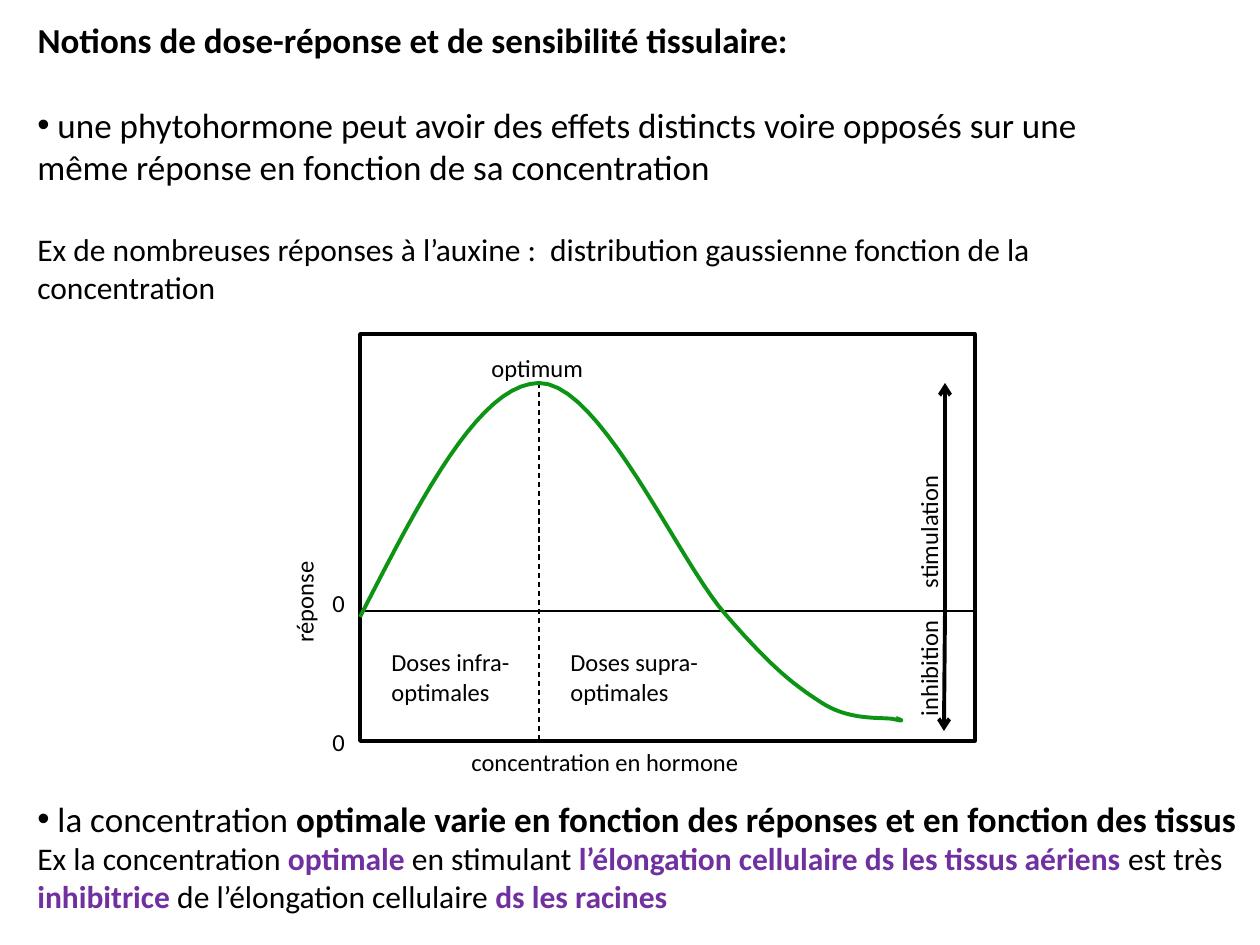
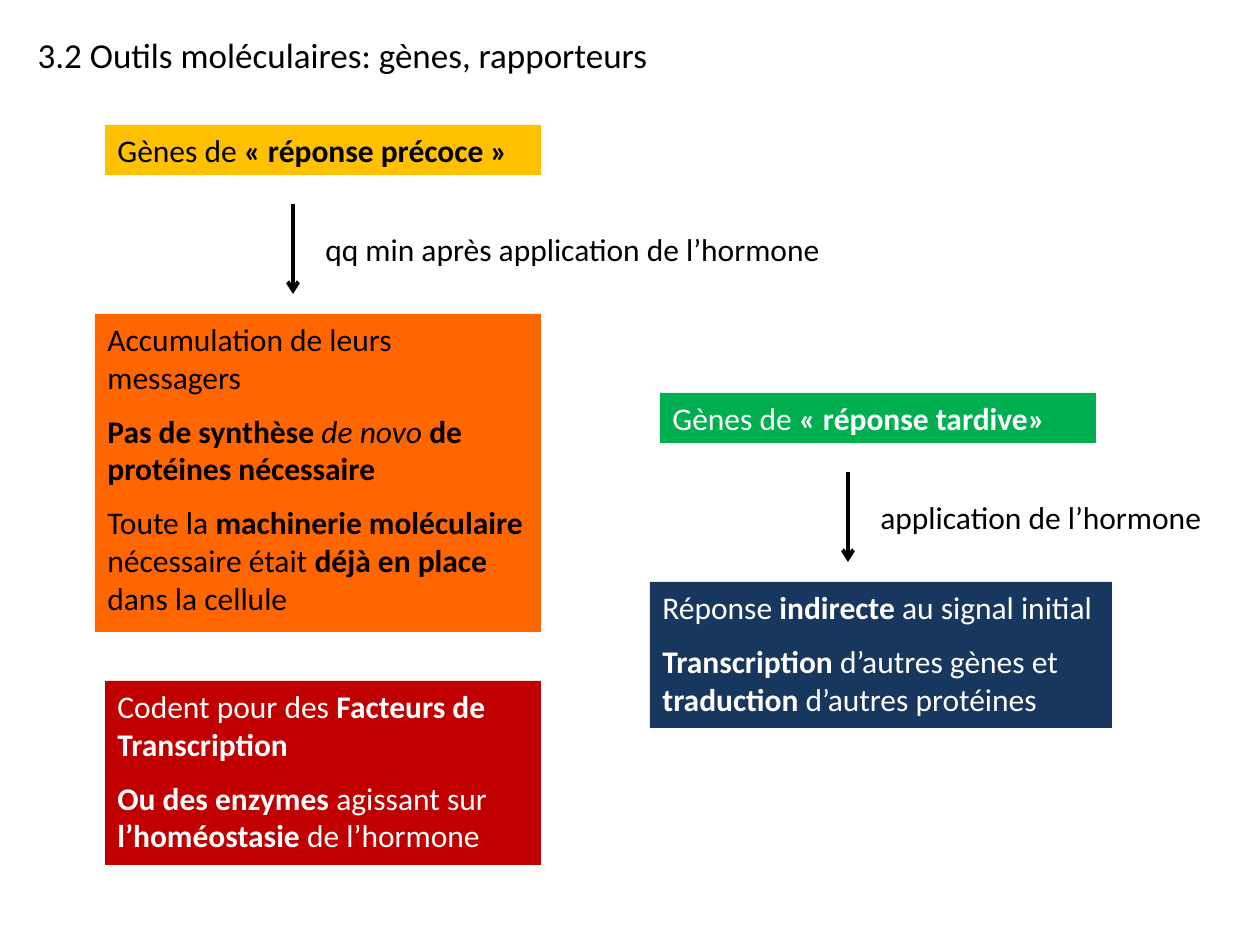
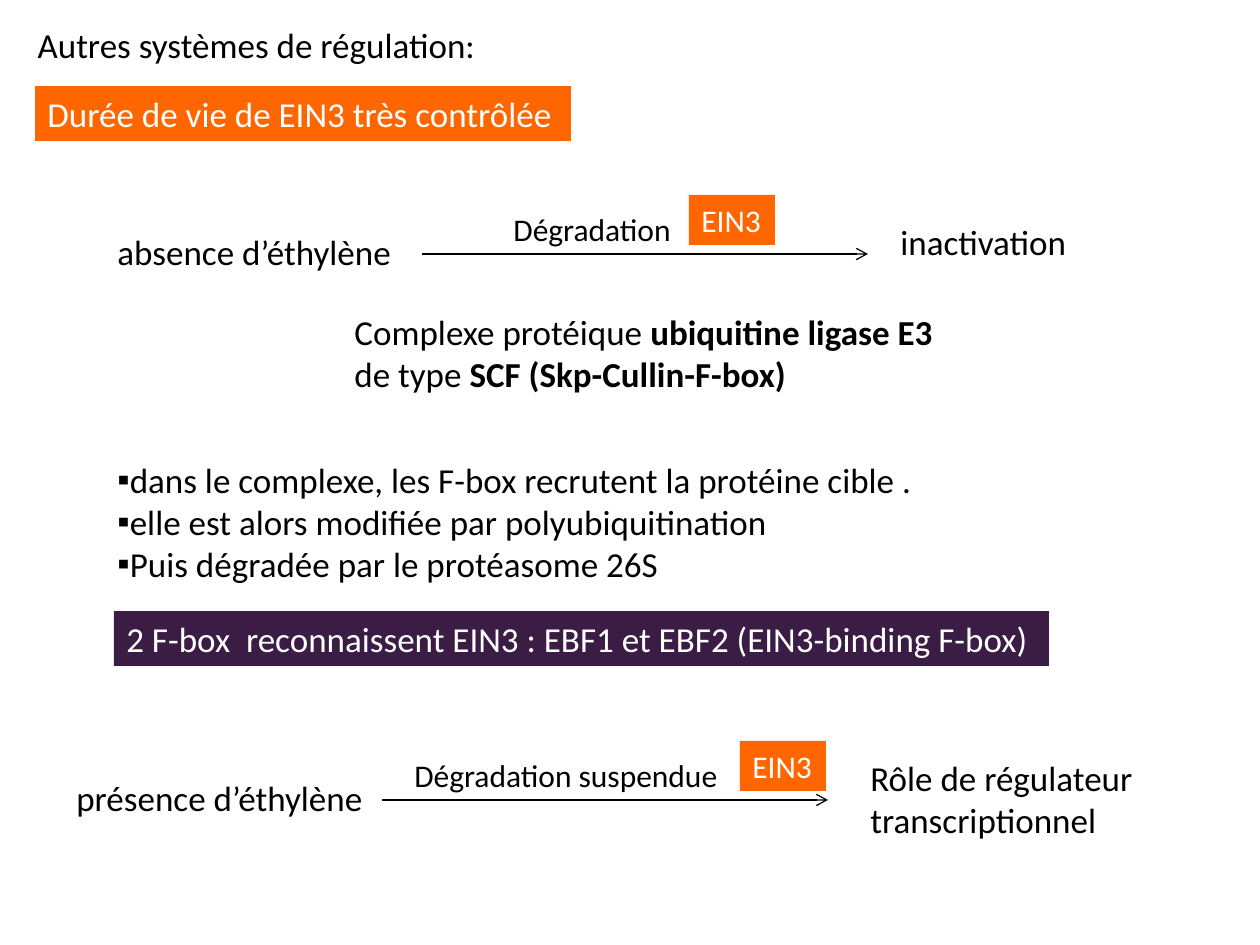
"""Builds three slides on plant hormone responses."""
from dataclasses import dataclass

from lxml.etree import SubElement
from pptx import Presentation
from pptx.dml.color import RGBColor
from pptx.enum.dml import MSO_LINE
from pptx.enum.shapes import MSO_CONNECTOR, MSO_SHAPE
from pptx.enum.text import MSO_ANCHOR, MSO_AUTO_SIZE, PP_ALIGN
from pptx.oxml.ns import qn
from pptx.util import Emu, Pt

FONT = "Calibri"
BLACK, WHITE, PURPLE = "000000", "FFFFFF", "7030A0"
ORANGE, AMBER, GREEN, NAVY = "FF6600", "FFC000", "00B050", "17375E"
RED, PLUM, CURVE_GREEN = "C00000", "3A1C44", "0E9414"
TITLE_ONLY = 5
CHIP_SIZE = (86, 50)
ARROW_LENGTH = 446


@dataclass
class Text:
    """One paragraph; a run is a string or a (string, style) pair."""
    runs: list
    size: int = 18
    bullet: str = ""
    before: float = 0


DOSE_TITLE = [("Notions de dose-réponse et de sensibilité tissulaire:", "bold")]
DOSE_INTRO = [
    Text([" une phytohormone peut avoir des effets distincts voire opposés sur une "
          "même réponse en fonction de sa concentration"], 20, "•"),
    Text(["Ex de nombreuses réponses à l’auxine :  distribution gaussienne fonction "
          "de la concentration"], before=24.4),
]
DOSE_CONCLUSION = [
    Text([" la concentration ",
          ("optimale varie en fonction des réponses et en fonction des tissus", "bold")],
         20, "•"),
    Text(["Ex la concentration ", ("optimale", "purple"), " en stimulant ",
          ("l’élongation cellulaire ds les tissus aériens ", "purple"), "est très ",
          ("inhibitrice", "purple"), " de l’élongation cellulaire ",
          ("ds les racines", "purple")]),
]
PLOT_LABELS = [
    ("optimum", (479, 347, 118, 43), 0),
    ("réponse", (251, 580, 107, 43), 270),
    ("0", (320, 582, 38, 43), 0),
    ("0", (320, 721, 38, 43), 0),
    ("stimulation", (859, 509, 140, 43), 270),
    ("inhibition", (870, 648, 118, 43), 270),
    ("concentration en hormone", (459, 741, 297, 43), 0),
]
DOSE_ZONES = [
    ("Doses infra-optimales", (379, 641, 149, 72)),
    ("Doses supra-optimales", (558, 641, 179, 72)),
]
PLOT_FRAME = (360, 334, 615, 407)
PLOT_ZERO, PLOT_PEAK = 611, (539, 383)
CURVE_START = (360, 617)
CURVE_PIECES = [
    ((420, 500), (479, 384), PLOT_PEAK),
    ((601, 383), (678, 561), (726, 615)),
    ((772, 668), (794, 685), (822, 703)),
    ((850, 721), (881, 717), (893, 719)),
    ((906, 722), (901, 720), (896, 718)),
]

GENES_TITLE = ["3.2 Outils moléculaires: gènes, rapporteurs"]
GENE_FLOWS = [
    dict(origin=(105, 125), color=BLACK, head_fill=AMBER, result_fill=ORANGE,
         head=["Gènes de ", ("« réponse précoce »", "bold")],
         note="qq min après application de l’hormone", note_width=527,
         result_size=(446, 318),
         result=[["Accumulation de leurs messagers"],
                 [("Pas de synthèse ", "bold"), ("de novo ", "italic"),
                  ("de protéines nécessaire", "bold")],
                 ["Toute la ", ("machinerie moléculaire ", "bold"), "nécessaire était ",
                  ("déjà en place ", "bold"), "dans la cellule"]]),
    dict(origin=(660, 393), color=WHITE, head_fill=GREEN, result_fill=NAVY,
         head=["Gènes de ", ("« réponse tardive»", "bold")],
         note="application de l’hormone", note_width=350,
         result_size=(462, 146),
         result=[["Réponse ", ("indirecte", "bold"), " au signal initial"],
                 [("Transcription ", "bold"), "d’autres gènes et ",
                  ("traduction", "bold"), " d’autres protéines"]]),
]
EARLY_GENE_PRODUCTS = [
    ["Codent pour des ", ("Facteurs de Transcription", "bold")],
    [("Ou des enzymes ", "bold"), "agissant sur ", ("l’homéostasie ", "bold"),
     "de l’hormone"],
]

REGULATION_TITLE = ["Autres systèmes de régulation:"]
REGULATION_BANDS = [
    ("Durée de vie de EIN3 très contrôlée", (35, 86, 536, 55), ORANGE),
    ("2 F-box  reconnaissent EIN3 : EBF1 et EBF2 (EIN3-binding F-box)",
     (114, 611, 935, 55), PLUM),
]
LIGASE = [
    Text(["Complexe protéique ", ("ubiquitine ligase E3", "bold")], 20),
    Text(["de type ", ("SCF (Skp-Cullin-F-box)", "bold")], 20),
]
DEGRADATION_STEPS = [
    "dans le complexe, les F-box recrutent la protéine cible .",
    "elle est alors modifiée par polyubiquitination",
    "Puis dégradée par le protéasome 26S",
]
ETHYLENE_ROWS = [
    dict(arrow=(422, 254), state="absence d’éthylène", state_x=105, state_width=302,
         note="Dégradation", note_x=501, note_width=193, chip_x=689,
         outcome="inactivation", outcome_box=(888, 214, 202, 55)),
    dict(arrow=(382, 800), state="présence d’éthylène", state_x=64, state_width=315,
         note="Dégradation suspendue", note_x=402, note_width=340, chip_x=740,
         outcome="Rôle de régulateur transcriptionnel",
         outcome_box=(858, 750, 338, 97)),
]


def px(value):
    return Emu(round(value * 914400 / 126))


def rgb(color):
    return RGBColor.from_string(color)


def write(shape, paragraphs, color=BLACK, wrap=True):
    frame = shape.text_frame
    frame.auto_size = MSO_AUTO_SIZE.NONE
    frame.word_wrap = wrap
    frame.vertical_anchor = MSO_ANCHOR.TOP
    for index, text in enumerate(paragraphs):
        paragraph = frame.add_paragraph() if index else frame.paragraphs[0]
        paragraph.alignment = PP_ALIGN.LEFT
        if text.bullet:
            properties = paragraph._p.get_or_add_pPr()
            SubElement(properties, qn("a:buFont")).set("typeface", "Arial")
            SubElement(properties, qn("a:buChar")).set("char", text.bullet)
        if text.before:
            paragraph.space_before = Pt(text.before)
        paragraph.font.name = FONT
        paragraph.font.size = Pt(text.size)
        paragraph.font.color.rgb = rgb(color)
        for item in text.runs:
            content, style = (item, "") if isinstance(item, str) else item
            run = paragraph.add_run()
            run.text = content
            if style in ("bold", "purple"):
                run.font.bold = True
            if style == "italic":
                run.font.italic = True
            if style == "purple":
                run.font.color.rgb = rgb(PURPLE)


def add_text(slide, box, paragraphs, wrap=True):
    shape = slide.shapes.add_textbox(*map(px, box))
    write(shape, paragraphs, wrap=wrap)
    return shape


def add_label(slide, box, content, size):
    return add_text(slide, box, [Text([content], size)], wrap=False)


def add_band(slide, box, fill, paragraphs, color=WHITE, wrap=True):
    shape = slide.shapes.add_shape(MSO_SHAPE.RECTANGLE, *map(px, box))
    shape.shadow.inherit = False
    shape.fill.solid()
    shape.fill.fore_color.rgb = rgb(fill)
    shape.line.fill.background()
    write(shape, paragraphs, color, wrap)


def add_line(slide, start, end, width=0.75, arrow=False, dashed=False):
    connector = slide.shapes.add_connector(
        MSO_CONNECTOR.STRAIGHT, *map(px, (*start, *end)))
    connector.line.color.rgb = rgb(BLACK)
    connector.line.width = Pt(width)
    if dashed:
        connector.line.dash_style = MSO_LINE.DASH
    if arrow:
        SubElement(connector.line._get_or_add_ln(), qn("a:tailEnd")).set("type", "arrow")
    SubElement(connector._element.spPr, qn("a:effectLst"))


def add_outline(shape, color, width):
    shape.shadow.inherit = False
    shape.fill.background()
    shape.line.color.rgb = rgb(color)
    shape.line.width = Pt(width)


def add_titled_slide(presentation, runs, top):
    slide = presentation.slides.add_slide(presentation.slide_layouts[TITLE_ONLY])
    title = slide.shapes.title
    title.left, title.top, title.width, title.height = map(px, (25, top, 1160, 55))
    write(title, [Text(runs, 20)])
    return slide


def spaced(lines):
    return [Text(runs, before=9 if index else 0) for index, runs in enumerate(lines)]


def curve_points(start, pieces, steps=20):
    points = [start]
    for first, second, end in pieces:
        origin = points[-1]
        for step in range(1, steps + 1):
            t = step / steps
            weights = ((1 - t) ** 3, 3 * t * (1 - t) ** 2, 3 * t * t * (1 - t), t ** 3)
            corners = (origin, first, second, end)
            points.append(tuple(
                sum(weight * corner[axis] for weight, corner in zip(weights, corners))
                for axis in (0, 1)))
    return [(px(x), px(y)) for x, y in points]


def add_plot(slide):
    left, top, width, height = PLOT_FRAME
    right, bottom = left + width, top + height
    frame = slide.shapes.add_shape(MSO_SHAPE.RECTANGLE, *map(px, PLOT_FRAME))
    add_outline(frame, BLACK, 2)
    add_line(slide, (left, PLOT_ZERO), (right, PLOT_ZERO))
    add_line(slide, PLOT_PEAK, (PLOT_PEAK[0], bottom), dashed=True)
    points = curve_points(CURVE_START, CURVE_PIECES)
    builder = slide.shapes.build_freeform(*points[0], scale=1.0)
    builder.add_line_segments(points[1:], close=False)
    add_outline(builder.convert_to_shape(), CURVE_GREEN, 2.25)
    for content, box, rotation in PLOT_LABELS:
        add_label(slide, box, content, 14).rotation = rotation
    for content, box in DOSE_ZONES:
        add_text(slide, box, [Text([content], 14)])
    for tip in ((945, PLOT_PEAK[1]), (944, 731)):
        add_line(slide, (945, PLOT_ZERO), tip, 2.25, arrow=True)


def build_dose_slide(presentation):
    slide = add_titled_slide(presentation, DOSE_TITLE, 12)
    add_text(slide, (25, 97, 1160, 217), DOSE_INTRO)
    add_plot(slide)
    add_text(slide, (25, 791, 1235, 131), DOSE_CONCLUSION)


def build_genes_slide(presentation):
    slide = add_titled_slide(presentation, GENES_TITLE, 27)
    for flow in GENE_FLOWS:
        x, y = flow["origin"]
        add_band(slide, (x, y, 436, 50), flow["head_fill"], [Text(flow["head"])],
                 flow["color"])
        add_line(slide, (x + 188, y + 79), (x + 188, y + 169), 2.25, arrow=True)
        add_label(slide, (x + 208, y + 99, flow["note_width"], 50), flow["note"], 18)
        add_band(slide, (x - 10, y + 189, *flow["result_size"]), flow["result_fill"],
                 spaced(flow["result"]), flow["color"])
    add_band(slide, (105, 681, 436, 184), RED, spaced(EARLY_GENE_PRODUCTS))


def build_regulation_slide(presentation):
    slide = add_titled_slide(presentation, REGULATION_TITLE, 17)
    for content, box, fill in REGULATION_BANDS:
        add_band(slide, box, fill, [Text([content], 20)])
    add_text(slide, (342, 304, 609, 97), LIGASE, wrap=False)
    add_text(slide, (105, 452, 1101, 140),
             [Text([step], 20, "▪") for step in DEGRADATION_STEPS])
    for row in ETHYLENE_ROWS:
        x, y = row["arrow"]
        add_label(slide, (row["state_x"], y - 30, row["state_width"], 55),
                  row["state"], 20)
        add_line(slide, (x, y), (x + ARROW_LENGTH, y), arrow=True)
        add_label(slide, (row["note_x"], y - 50, row["note_width"], 50), row["note"], 18)
        add_band(slide, (row["chip_x"], y - 59, *CHIP_SIZE), ORANGE, [Text(["EIN3"])],
                 wrap=False)
        add_text(slide, row["outcome_box"], [Text([row["outcome"]], 20)])


def main():
    presentation = Presentation()
    presentation.slide_width, presentation.slide_height = px(1260), px(945)
    build_dose_slide(presentation)
    build_genes_slide(presentation)
    build_regulation_slide(presentation)
    presentation.save("out.pptx")


if __name__ == "__main__":
    main()
